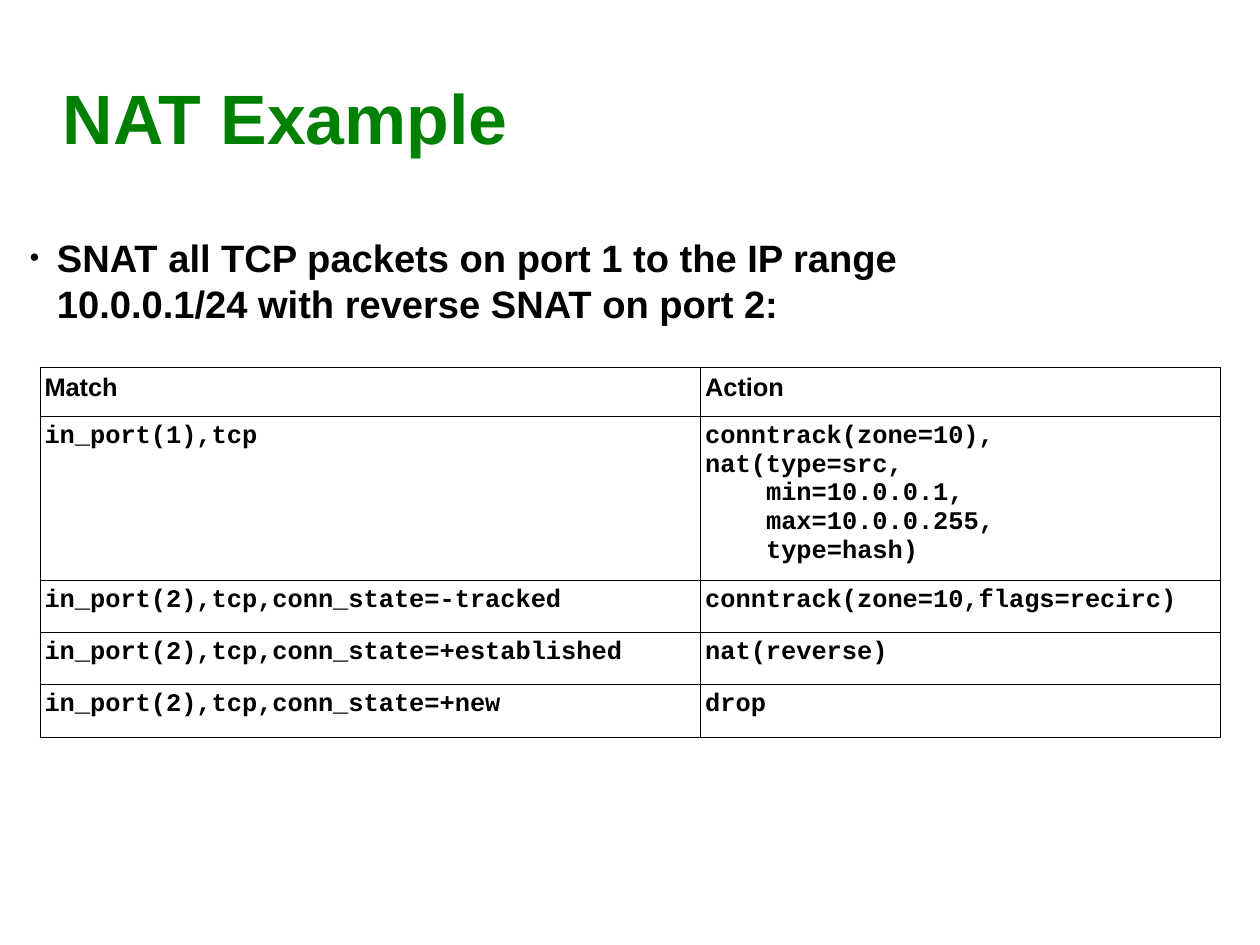
from dataclasses import dataclass

from lxml.etree import SubElement
from pptx import Presentation
from pptx.dml.color import RGBColor
from pptx.enum.text import MSO_ANCHOR as Anchor
from pptx.oxml.ns import qn
from pptx.util import Cm, Inches, Length, Pt

COLORS = {"title": "008000", "ink": "000000"}
GRID = 0.1  # inches per grid column and row
SLIDE_WIDTH, SLIDE_HEIGHT = Cm(28), Cm(21)
BORDER = Pt(0.57)


@dataclass(frozen=True)
class Box:
    left: float
    top: float
    width: float
    height: float


@dataclass(frozen=True)
class Style:
    size: int
    font: str = "Arial"
    color: str = "ink"


@dataclass(frozen=True)
class Rule:
    height: float
    match: str
    action: tuple[str, ...]
    style: Style


TITLE = Style(44, color="title")
SUMMARY = Style(24)
HEADING = Style(16)
CODE = Style(16, "Courier New")
ARGUMENT_INDENT = 5.33  # four characters of code
MATCH_WIDTH, ACTION_WIDTH = 57.8, 45.5

# Lines of an action after "nat(type=src," are its indented arguments
RULES = (
    Rule(4.3, "Match", ("Action",), HEADING),
    Rule(14.3, "in_port(1),tcp",
         ("conntrack(zone=10),", "nat(type=src,", "min=10.0.0.1,",
          "max=10.0.0.255,", "type=hash)"), CODE),
    Rule(4.55, "in_port(2),tcp,conn_state=-tracked",
         ("conntrack(zone=10,flags=recirc)",), CODE),
    Rule(4.55, "in_port(2),tcp,conn_state=+established", ("nat(reverse)",), CODE),
    Rule(4.65, "in_port(2),tcp,conn_state=+new", ("drop",), CODE),
)


def grid(units: float) -> Length:
    return Inches(units * GRID)


def place(box: Box) -> tuple[Length, ...]:
    return tuple(grid(n) for n in (box.left, box.top, box.width, box.height))


def add_run(paragraph, text: str, style: Style) -> None:
    run = paragraph.add_run()
    run.text = text
    run.font.name = style.font
    run.font.size = Pt(style.size)
    run.font.bold = True
    run.font.color.rgb = RGBColor.from_string(COLORS[style.color])


def add_text(slide, box: Box, text: str, style: Style, anchor: Anchor,
             margins: tuple[float, float]):
    frame = slide.shapes.add_textbox(*place(box)).text_frame
    frame.word_wrap = True
    frame.vertical_anchor = anchor
    frame.margin_left = frame.margin_right = grid(margins[0])
    frame.margin_top = frame.margin_bottom = grid(margins[1])
    add_run(frame.paragraphs[0], text, style)
    return frame.paragraphs[0]


def add_bullet(paragraph, left: float, hanging: float) -> None:
    props = paragraph._p.get_or_add_pPr()
    props.set("marL", str(grid(left)))
    props.set("indent", str(-grid(hanging)))
    color = SubElement(props, qn("a:buClr"))
    SubElement(color, qn("a:srgbClr"), val=COLORS["ink"])
    SubElement(props, qn("a:buSzPct"), val="45000")
    SubElement(props, qn("a:buFont"), typeface=SUMMARY.font)
    SubElement(props, qn("a:buChar"), char="●")


def add_borders(cell) -> None:
    props = cell._tc.get_or_add_tcPr()
    for position, side in enumerate(("lnL", "lnR", "lnT", "lnB")):
        line = props.makeelement(qn(f"a:{side}"), {"w": str(BORDER)})
        fill = SubElement(line, qn("a:solidFill"))
        SubElement(fill, qn("a:srgbClr"), val=COLORS["ink"])
        props.insert(position, line)


def fill_cell(cell, lines: tuple[str, ...], style: Style) -> None:
    cell.fill.background()
    cell.margin_left = cell.margin_right = grid(0.4)
    cell.margin_top = cell.margin_bottom = grid(0.5)
    add_borders(cell)
    frame = cell.text_frame
    for number, line in enumerate(lines):
        paragraph = frame.paragraphs[0] if number == 0 else frame.add_paragraph()
        if number >= 2:
            paragraph._p.get_or_add_pPr().set("marL", str(grid(ARGUMENT_INDENT)))
        add_run(paragraph, line, style)


def add_rules(slide, left: float, top: float) -> None:
    box = Box(left, top, MATCH_WIDTH + ACTION_WIDTH, sum(r.height for r in RULES))
    table = slide.shapes.add_table(len(RULES), 2, *place(box)).table
    table.first_row = table.horz_banding = False
    for column, width in zip(table.columns, (MATCH_WIDTH, ACTION_WIDTH)):
        column.width = grid(width)
    for index, rule in enumerate(RULES):
        table.rows[index].height = grid(rule.height)
        fill_cell(table.cell(index, 0), (rule.match,), rule.style)
        fill_cell(table.cell(index, 1), rule.action, rule.style)


def main() -> None:
    deck = Presentation()
    deck.slide_width, deck.slide_height = SLIDE_WIDTH, SLIDE_HEIGHT
    slide = deck.slides.add_slide(deck.slide_layouts[6])

    # Title
    add_text(slide, Box(5.5, 3.3, 99.2, 13.8), "NAT Example", TITLE,
             Anchor.MIDDLE, (0, 0))

    # Match and action table
    add_rules(slide, 3.5, 32.15)

    # Summary bullet
    summary = add_text(
        slide, Box(-0.7, 20, 97, 8.4),
        "SNAT all TCP packets on port 1 to the IP range 10.0.0.1/24 "
        "with reverse SNAT on port 2:", SUMMARY, Anchor.TOP, (1, 0.5))
    add_bullet(summary, 4.7, 2.4)

    deck.save("out.pptx")


if __name__ == "__main__":
    main()
